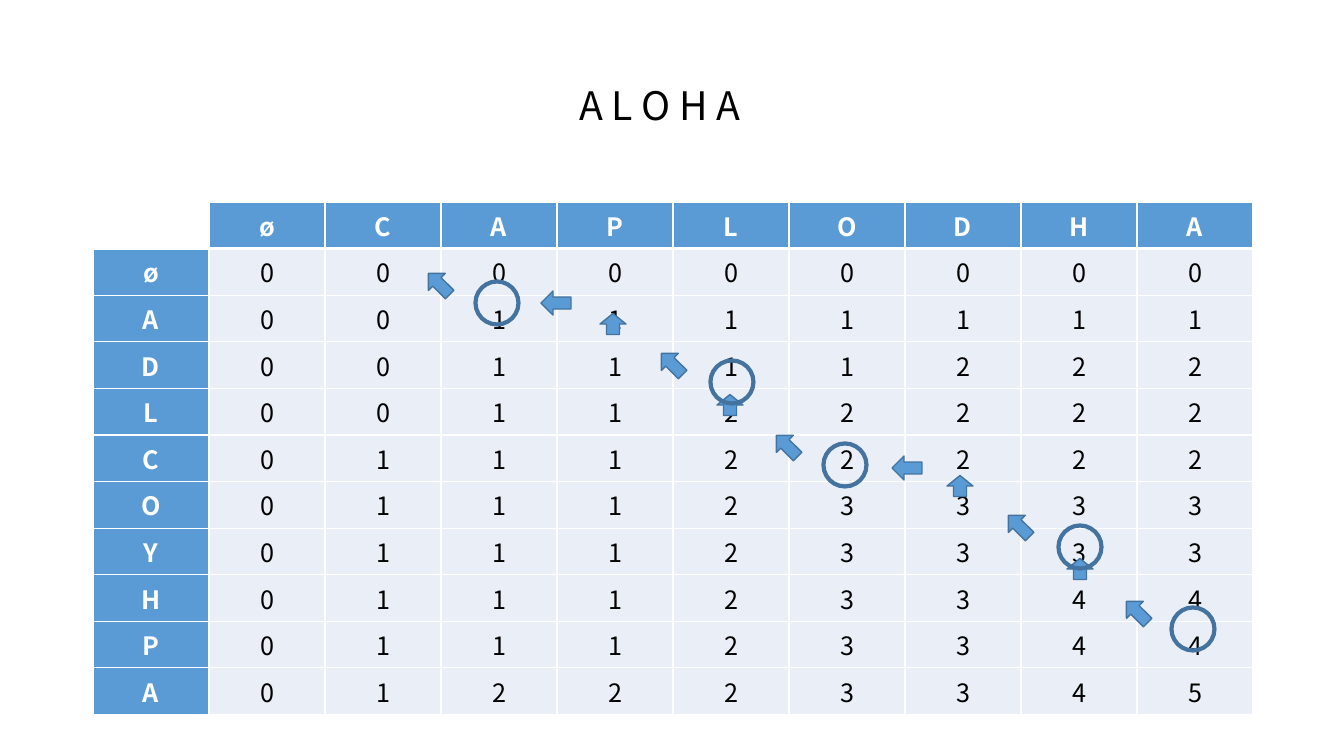
from dataclasses import dataclass

from lxml.etree import SubElement
from pptx import Presentation
from pptx.dml.color import RGBColor
from pptx.enum.shapes import MSO_SHAPE as Preset
from pptx.enum.text import MSO_ANCHOR as Anchor, MSO_AUTO_SIZE as AutoSize, PP_ALIGN as Align
from pptx.oxml.ns import qn
from pptx.util import Emu, Pt


@dataclass(frozen=True)
class Theme:
    font: str = "Noto Sans CJK KR"
    title_size: int = 28
    cell_size: int = 18
    white: str = "FFFFFF"
    black: str = "000000"
    blue: str = "5B9BD5"
    pale: str = "EAEFF7"
    outline: str = "43739E"


theme = Theme()
rgb = RGBColor.from_string


def px(count):
    return Emu(round(count * 914400 / 100.8))


def add_mark(preset, center_x, center_y, width, height, line_width):
    mark = page.shapes.add_shape(preset, px(center_x - width / 2), px(center_y - height / 2),
                                 px(width), px(height))
    mark.shadow.inherit = False
    mark.line.color.rgb = rgb(theme.outline)
    mark.line.width = Pt(line_width)
    return mark


deck = Presentation()
deck.slide_width, deck.slide_height = px(1344), px(756)
page = deck.slides.add_slide(deck.slide_layouts[5])

# Title
title = page.shapes.title
title.left, title.top, title.width, title.height = px(569), px(76), px(207), px(57)
frame = title.text_frame
frame.text = "A L O H A"
frame.word_wrap = True
frame.auto_size = AutoSize.NONE
frame.vertical_anchor = Anchor.MIDDLE
para = frame.paragraphs[0]
para.alignment = Align.LEFT
span = para.runs[0]
span.font.name = theme.font
span.font.size = Pt(theme.title_size)
span.font.color.rgb = rgb(theme.black)

# Subsequence length table: one string per row, one character per cell
rows = [
    " øCAPLODHA",
    "ø000000000",
    "A001111111",
    "D001111222",
    "L001122222",
    "C011122222",
    "O011123333",
    "Y011123333",
    "H011123344",
    "P011123344",
    "A012223345",
]
column_width, row_height = 116, 41
table = page.shapes.add_table(len(rows), len(rows[0]), px(93), px(202),
                              px(column_width * len(rows[0])),
                              px(row_height * len(rows))).table
table.horz_banding = False
for r, row in enumerate(rows):
    table.rows[r].height = px(row_height)
    for c, letter in enumerate(row):
        cell = table.cell(r, c)
        heading = r == 0 or c == 0

        # White borders, thicker below the header row
        properties = cell._tc.get_or_add_tcPr()
        for side in ("L", "R", "T", "B"):
            thick = (r, side) in ((0, "B"), (1, "T"))
            border = SubElement(properties, qn(f"a:ln{side}"), w=str(Pt(3 if thick else 1)))
            paint = SubElement(border, qn("a:solidFill"))
            SubElement(paint, qn("a:srgbClr"), val=theme.white)

        if letter == " ":
            cell.fill.background()
            continue
        cell.fill.solid()
        cell.fill.fore_color.rgb = rgb(theme.blue if heading else theme.pale)
        cell.text = letter
        para = cell.text_frame.paragraphs[0]
        para.alignment = Align.CENTER
        span = para.runs[0]
        span.font.name = theme.font
        span.font.size = Pt(theme.cell_size)
        span.font.bold = heading
        span.font.color.rgb = rgb(theme.white if heading else theme.black)

# Traceback arrows: rotation, width, height and centers for each direction
directions = [
    (224.8, 30, 24, [(1137, 612), (1019, 526), (787, 446), (672, 364), (439, 284)]),
    (180, 30, 24, [(907, 468), (556, 303)]),
    (270, 21, 26, [(960, 486), (1080, 569), (730, 405), (613, 324)]),
]
for rotation, width, height, centers in directions:
    for x, y in centers:
        arrow = add_mark(Preset.RIGHT_ARROW, x, y, width, height, 1)
        arrow.rotation = rotation
        arrow.fill.solid()
        arrow.fill.fore_color.rgb = rgb(theme.blue)

# Circles around the matched letters
for x, y in [(1193, 629), (845, 465), (497, 303), (732, 382), (1080, 547)]:
    circle = add_mark(Preset.OVAL, x, y, 43, 43, 3)
    circle.fill.background()

deck.save("out.pptx")
